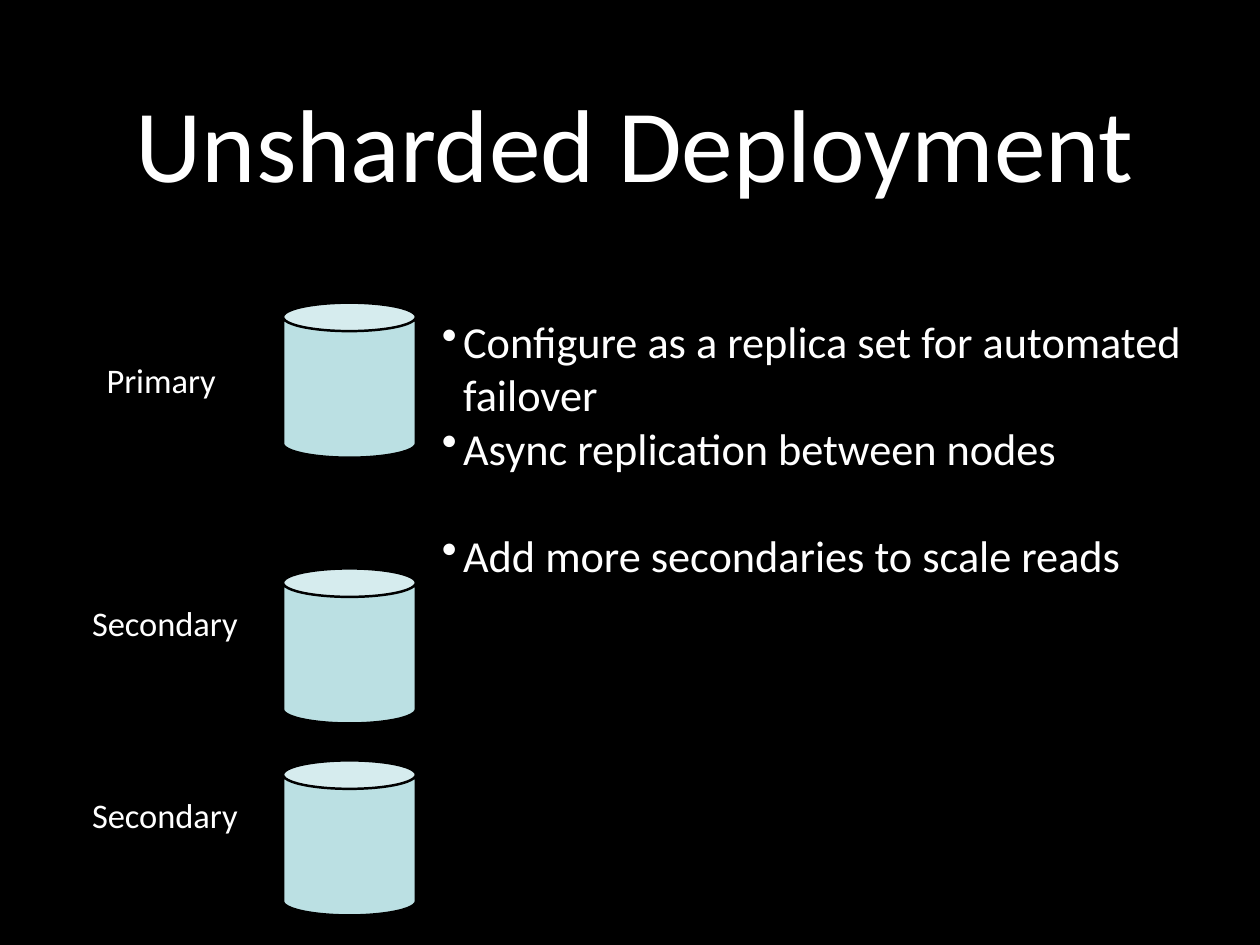
from dataclasses import dataclass

from lxml.etree import SubElement
from pptx import Presentation
from pptx.dml.color import RGBColor as Color
from pptx.enum.shapes import MSO_SHAPE as Shape
from pptx.enum.text import MSO_ANCHOR as Anchor, MSO_AUTO_SIZE as AutoSize, PP_ALIGN as Align
from pptx.oxml.ns import qn
from pptx.util import Inches, Pt


@dataclass(frozen=True)
class Theme:
    """Colours, font and type sizes of the slide."""
    background: Color = Color(0x00, 0x00, 0x00)
    text: Color = Color(0xFF, 0xFF, 0xFF)
    node: Color = Color(0xBB, 0xE0, 0xE3)
    outline: Color = Color(0x00, 0x00, 0x00)
    font: str = "Calibri"
    title_size: int = 84
    bullet_size: int = 36
    label_size: int = 28


@dataclass(frozen=True)
class Box:
    """A rectangle in grid columns and rows."""
    left: float
    top: float
    width: float
    height: float

    def inside(self, left, top, width, height):
        """Return a box placed relative to this one."""
        return Box(self.left + left, self.top + top, width, height)

    def lengths(self):
        """Return left, top, width and height as slide lengths."""
        return [round(cells * unit) for cells, unit in (
            (self.left, COLUMN), (self.top, ROW), (self.width, COLUMN), (self.height, ROW))]


THEME = Theme()
WIDTH, HEIGHT = Inches(14.22), Inches(10.66)
COLUMN, ROW = WIDTH / 128, HEIGHT / 96
TITLE_BOX = Box(13, 6, 103, 16.75)
NODES_BOX = Box(7.25, 30.75, 35, 62.25)
BULLETS_BOX = Box(44, 31.5, 84, 36.75)
NODES = [
    ("Primary", 0, (1.75, 5.25, 14.75)),
    ("Secondary", 27, (0, 3, 19)),
    ("Secondary", 46.5, (0, 3, 19)),
]
BULLETS = [
    ("Configure as a replica set for automated failover", 0),
    ("Async replication between nodes", 0),
    ("Add more secondaries to scale reads", 44),
]


def add_span(para, text, size):
    """Add one run in the theme's font and text colour."""
    span = para.add_run()
    span.text = text
    span.font.name = THEME.font
    span.font.size = Pt(size)
    span.font.color.rgb = THEME.text


def add_text_frame(page, box):
    """Add a wrapping text box and return its frame."""
    frame = page.shapes.add_textbox(*box.lengths()).text_frame
    frame.word_wrap = True
    return frame


def set_bullet(para, indent):
    """Give a paragraph a hanging round bullet."""
    props = para._p.get_or_add_pPr()
    props.set("marL", str(indent))
    props.set("indent", str(-indent))
    colour = SubElement(SubElement(props, qn("a:buClr")), qn("a:srgbClr"))
    colour.set("val", str(THEME.text))
    SubElement(props, qn("a:buChar")).set("char", "•")


def fill_title(page, box):
    """Place and write the slide title."""
    title = page.shapes.title
    title.left, title.top, title.width, title.height = box.lengths()
    frame = title.text_frame
    frame.auto_size = AutoSize.NONE
    frame.vertical_anchor = Anchor.MIDDLE
    frame.margin_left = frame.margin_right = Inches(0.06)
    frame.margin_top = frame.margin_bottom = Inches(0.06)
    para = frame.paragraphs[0]
    para.alignment = Align.CENTER
    add_span(para, "Unsharded Deployment", THEME.title_size)


def add_node(page, box):
    """Draw one database cylinder."""
    node = page.shapes.add_shape(Shape.CAN, *box.lengths())
    node.shadow.inherit = False
    node.adjustments[0] = 0.214
    node.fill.solid()
    node.fill.fore_color.rgb = THEME.node
    node.line.color.rgb = THEME.outline
    node.line.width = Pt(2)


def add_nodes(page, box):
    """Draw the labelled column of replica nodes."""
    for name, top, (label_left, label_drop, label_width) in NODES:
        add_node(page, box.inside(21.5, top, 13.5, 15.75))
        frame = add_text_frame(page, box.inside(label_left, top + label_drop, label_width, 5.13))
        para = frame.paragraphs[0]
        para.alignment = Align.CENTER
        add_span(para, name, THEME.label_size)


def add_bullets(page, box):
    """Write the bulleted notes on the deployment."""
    frame = add_text_frame(page, box)
    for index, (text, gap) in enumerate(BULLETS):
        para = frame.add_paragraph() if index else frame.paragraphs[0]
        para.space_before = Pt(gap)
        set_bullet(para, Inches(0.24))
        add_span(para, text, THEME.bullet_size)


def main():
    """Build and save the deck."""
    deck = Presentation()
    deck.slide_width, deck.slide_height = WIDTH, HEIGHT
    page = deck.slides.add_slide(deck.slide_layouts[5])
    page.background.fill.solid()
    page.background.fill.fore_color.rgb = THEME.background
    fill_title(page, TITLE_BOX)
    add_nodes(page, NODES_BOX)
    add_bullets(page, BULLETS_BOX)
    deck.save("out.pptx")


if __name__ == "__main__":
    main()
